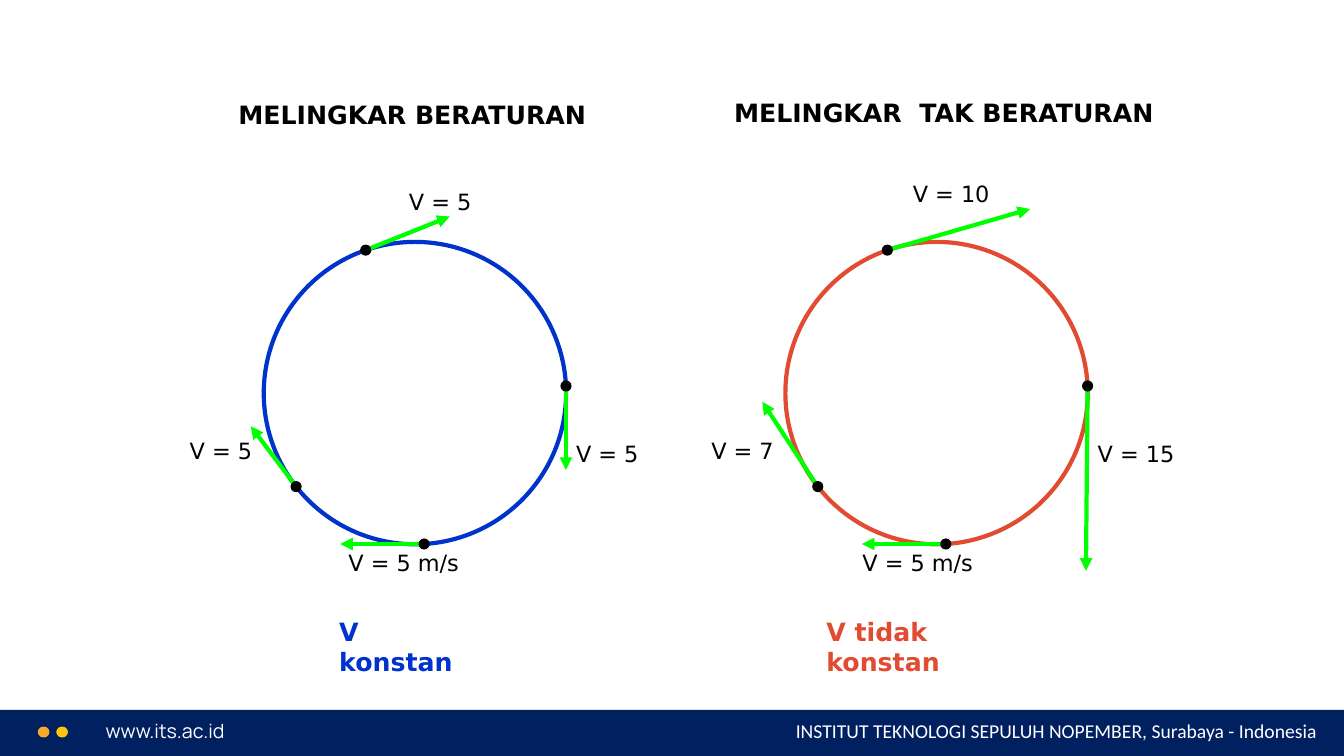
from dataclasses import dataclass
from math import cos, radians, sin

from lxml import etree
from pptx import Presentation
from pptx.dml.color import RGBColor
from pptx.enum.shapes import MSO_CONNECTOR, MSO_SHAPE
from pptx.enum.text import PP_ALIGN
from pptx.oxml.ns import qn
from pptx.util import Inches, Pt

OVAL, RECT = MSO_SHAPE.OVAL, MSO_SHAPE.RECTANGLE
STRAIGHT = MSO_CONNECTOR.STRAIGHT
LEFT, RIGHT = PP_ALIGN.LEFT, PP_ALIGN.RIGHT

COLUMNS, ROWS = 16, 9
RADIUS = 1.8
CENTER_ROW = 4.68
MARKER_SIZE = 0.12
LABEL_HEIGHT, HEADING_HEIGHT = 0.44, 0.48
MARKER_ANGLES = (-109, -2.7, 86.5, 141.8)


@dataclass(frozen=True)
class Theme:
    """Colours, fonts, type sizes and line widths of the slide."""

    black: str = "000000"
    white: str = "FFFFFF"
    navy: str = "002060"
    velocity: str = "00FF00"
    uniform: str = "0033CC"
    varying: str = "E04B32"
    accents: tuple = ("F5AA2D", "FFC411")
    body_font: str = "DejaVu Sans"
    web_font: str = "Manrope"
    footer_font: str = "Calibri"
    heading_size: int = 18
    label_size: int = 16
    footer_size: int = 14
    stroke: float = 3
    hairline: float = 0.75


class SlideBuilder:
    """Draws themed elements on one slide, placed in grid columns and rows."""

    def __init__(self, deck, theme):
        """Add a blank slide and keep its grid unit sizes."""
        self.theme = theme
        self.slide = deck.slides.add_slide(deck.slide_layouts[6])
        self.column = deck.slide_width / COLUMNS
        self.row = deck.slide_height / ROWS

    def place(self, *lengths):
        """Turn alternating columns and rows into slide lengths."""
        units = (self.column, self.row) * 2
        return [round(length * unit) for length, unit in zip(lengths, units)]

    def shape(self, kind, box, fill=None, line=None, width=0):
        """Draw a preset shape with an optional fill and outline."""
        shape = self.slide.shapes.add_shape(kind, *self.place(*box))
        shape.shadow.inherit = False
        if fill:
            shape.fill.solid()
            shape.fill.fore_color.rgb = RGBColor.from_string(fill)
        else:
            shape.fill.background()
        if line:
            shape.line.color.rgb = RGBColor.from_string(line)
            shape.line.width = Pt(width)
        else:
            shape.line.fill.background()

    def text(self, words, box, size, color, font=None, bold=False, align=LEFT):
        """Write one paragraph in a text box."""
        frame = self.slide.shapes.add_textbox(*self.place(*box)).text_frame
        frame.word_wrap = True
        paragraph = frame.paragraphs[0]
        paragraph.text = words
        paragraph.alignment = align
        paragraph.font.name = font or self.theme.body_font
        paragraph.font.size = Pt(size)
        paragraph.font.bold = bold
        paragraph.font.color.rgb = RGBColor.from_string(color)

    def arrow(self, start, vector):
        """Draw a velocity arrow from a point along a vector."""
        tip = [origin + step for origin, step in zip(start, vector)]
        arrow = self.slide.shapes.add_connector(STRAIGHT, *self.place(*start, *tip))
        arrow.line.color.rgb = RGBColor.from_string(self.theme.velocity)
        arrow.line.width = Pt(self.theme.stroke)
        etree.SubElement(arrow.line._get_or_add_ln(), qn("a:tailEnd"), type="triangle")
        etree.SubElement(arrow._element.spPr, qn("a:effectLst"))

    def motion(self, center_column, color, heading, caption, velocities):
        """Draw a circular motion with its heading, velocities and caption."""
        theme = self.theme
        circle = (center_column - RADIUS, CENTER_ROW - RADIUS, 2 * RADIUS, 2 * RADIUS)
        self.shape(OVAL, circle, line=color, width=theme.stroke)
        points = [
            (center_column + RADIUS * cos(radians(angle)),
             CENTER_ROW + RADIUS * sin(radians(angle)))
            for angle in MARKER_ANGLES
        ]
        for point, (speed, vector, (across, down), width) in zip(points, velocities):
            self.arrow(point, vector)
            box = (center_column + across, CENTER_ROW + down, width, LABEL_HEIGHT)
            self.text(speed, box, theme.label_size, theme.black)
        for x, y in points:
            box = (x - MARKER_SIZE / 2, y - MARKER_SIZE / 2, MARKER_SIZE, MARKER_SIZE)
            self.shape(OVAL, box, theme.black, theme.black, theme.hairline)
        for (words, *box), ink in ((heading, theme.black), (caption, color)):
            self.text(words, (*box, HEADING_HEIGHT), theme.heading_size, ink, bold=True)

    def footer(self, address, institute):
        """Draw the footer band with its dots and two texts."""
        theme = self.theme
        self.shape(RECT, (0, 8.45, COLUMNS, 0.55), theme.navy)
        for index, accent in enumerate(theme.accents):
            self.shape(OVAL, (0.45 + 0.22 * index, 8.65, 0.14, 0.13), accent)
        self.text(address, (1.14, 8.5, 5.14, 0.41), theme.footer_size,
                  theme.white, theme.web_font)
        self.text(institute, (7.09, 8.5, 8.71, 0.41), theme.footer_size,
                  theme.white, theme.footer_font, align=RIGHT)


def main():
    """Build the comparison of uniform and varying circular motion."""
    deck = Presentation()
    deck.slide_width, deck.slide_height = Inches(13.33), Inches(7.5)
    theme = Theme()
    builder = SlideBuilder(deck, theme)
    builder.footer("www.its.ac.id",
                   "INSTITUT TEKNOLOGI SEPULUH NOPEMBER, Surabaya - Indonesia")
    builder.motion(
        4.94, theme.uniform,
        heading=("MELINGKAR BERATURAN", 2.72, 1.12, 4.46),
        caption=("V konstan", 3.92, 7.28, 1.92),
        velocities=(
            ("V = 5", (1, -0.4), (-0.19, -2.5), 1.09),
            ("V = 5", (0, 1), (1.8, 0.5), 1.09),
            ("V = 5 m/s", (-1, 0), (-0.91, 1.8), 1.62),
            ("V = 5", (-0.54, -0.72), (-2.8, 0.46), 1.09),
        ),
    )
    builder.motion(
        11.15, theme.varying,
        heading=("MELINGKAR  TAK BERATURAN", 8.62, 1.1, 5.33),
        caption=("V tidak konstan", 9.72, 7.28, 2.76),
        velocities=(
            ("V = 10", (1.7, -0.49), (-0.4, -2.6), 1.26),
            ("V = 15", (-0.02, 2.2), (1.8, 0.5), 1.26),
            ("V = 5 m/s", (-1, 0), (-1, 1.8), 1.62),
            ("V = 7", (-0.66, -1.01), (-2.8, 0.46), 1.09),
        ),
    )
    deck.save("out.pptx")


if __name__ == "__main__":
    main()
